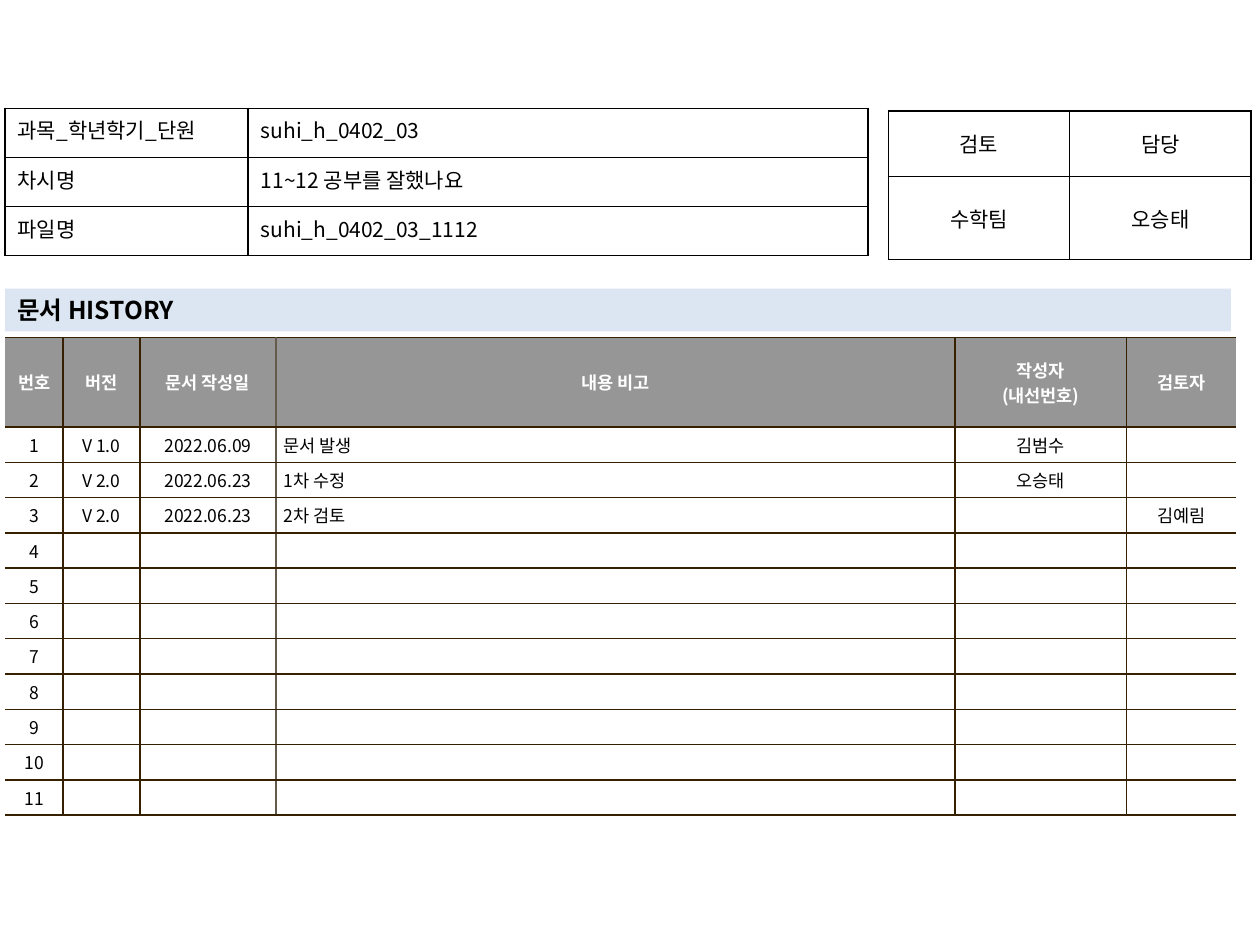
from lxml.etree import SubElement
from pptx import Presentation
from pptx.dml.color import RGBColor
from pptx.enum.shapes import MSO_SHAPE as Shape
from pptx.enum.text import MSO_ANCHOR as Anchor, PP_ALIGN as Align
from pptx.oxml.ns import qn
from pptx.util import Inches, Pt

FONT = "Noto Sans CJK KR"
COLORS = {"black": "000000", "white": "FFFFFF", "header": "969696",
          "band": "DCE6F2", "brown": "362000", "taupe": "645B4C"}

DOCUMENT = [
    ("과목_학년학기_단원", "suhi_h_0402_03"),
    ("차시명", "11~12 공부를 잘했나요"),
    ("파일명", "suhi_h_0402_03_1112"),
]
APPROVAL = [("검토", "담당"), ("수학팀", "오승태")]
HISTORY_TITLE = "문서 HISTORY"
HISTORY_HEADER = ("번호", "버전", "문서 작성일", "내용 비고", "작성자\n(내선번호)", "검토자")
REVISIONS = [
    ("V 1.0", "2022.06.09", "문서 발생", "김범수", ""),
    ("V 2.0", "2022.06.23", "1차 수정", "오승태", ""),
    ("V 2.0", "2022.06.23", "2차 검토", "", "김예림"),
]
REVISION_ROWS = 11
NOTE_COLUMN = 3


def rgb(name):
    return RGBColor.from_string(COLORS[name])


def write(frame, text, size=12, color="black", bold=False, align=Align.LEFT):
    for index, line in enumerate(text.split("\n")):
        paragraph = frame.add_paragraph() if index else frame.paragraphs[0]
        paragraph.alignment = align
        if not line:
            SubElement(paragraph._p, qn("a:endParaRPr"), sz=str(size * 100))
            continue
        run = paragraph.add_run()
        run.text = line
        run.font.size = Pt(size)
        run.font.bold = bold
        run.font.color.rgb = rgb(color)
        run.font.name = FONT
        SubElement(run.font._element, qn("a:ea"), typeface=FONT)


def set_borders(cell, sides):
    properties = cell._tc.get_or_add_tcPr()
    for side in "LRTB":
        line = SubElement(properties, qn("a:ln" + side), w=str(Pt(1)))
        if sides[side]:
            solid = SubElement(line, qn("a:solidFill"))
            SubElement(solid, qn("a:srgbClr"), val=COLORS[sides[side]])
        else:
            SubElement(line, qn("a:noFill"))


def add_grid(slide, left, top, widths, heights, rows, style):
    table = slide.shapes.add_table(
        len(rows), len(widths), Inches(left), Inches(top),
        Inches(sum(widths)), Inches(sum(heights))).table
    table.first_row = table.horz_banding = False
    for column, width in zip(table.columns, widths):
        column.width = Inches(width)
    for row, height in zip(table.rows, heights):
        row.height = Inches(height)
    for r, row in enumerate(rows):
        for c, text in enumerate(row):
            cell = table.cell(r, c)
            look = style(r, c)
            cell.vertical_anchor = look["anchor"]
            inset_x, inset_y = look["insets"]
            cell.margin_left = cell.margin_right = Inches(inset_x)
            cell.margin_top = cell.margin_bottom = Inches(inset_y)
            set_borders(cell, look["borders"])
            if look["fill"]:
                cell.fill.solid()
                cell.fill.fore_color.rgb = rgb(look["fill"])
            else:
                cell.fill.background()
            write(cell.text_frame, text, **look["text"])


def plain_style(anchor, align):
    return {"anchor": anchor, "insets": (0.1, 0.05), "fill": None,
            "borders": dict.fromkeys("LRTB", "black"), "text": {"align": align}}


def document_style(r, c):
    return plain_style(Anchor.TOP, Align.LEFT if c else Align.JUSTIFY)


def approval_style(r, c):
    return plain_style(Anchor.MIDDLE, Align.CENTER)


def history_style(r, c):
    header = r == 0
    borders = dict.fromkeys("LRTB", "brown")
    if c == 0:
        borders["L"] = None
    if c == len(HISTORY_HEADER) - 1:
        borders["R"] = None
    if c == NOTE_COLUMN - 1:
        borders["R"] = "taupe"
    if c == NOTE_COLUMN:
        borders["L"] = "taupe"
    note = c == NOTE_COLUMN and not header
    return {"anchor": Anchor.MIDDLE, "insets": (0.06, 0.04), "borders": borders,
            "fill": "header" if header else "white",
            "text": {"size": 10, "bold": header,
                     "color": "white" if header else "black",
                     "align": Align.LEFT if note else Align.CENTER}}


def add_title_band(slide):
    band = slide.shapes.add_shape(
        Shape.RECTANGLE, Inches(0.04), Inches(2.29), Inches(9.73), Inches(0.34))
    band.shadow.inherit = False
    band.fill.solid()
    band.fill.fore_color.rgb = rgb("band")
    band.line.fill.background()
    band.text_frame.word_wrap = True
    band.text_frame.vertical_anchor = Anchor.MIDDLE
    write(band.text_frame, HISTORY_TITLE, size=14, bold=True)


def main():
    deck = Presentation()
    deck.slide_width, deck.slide_height = Inches(10), Inches(7.5)
    slide = deck.slides.add_slide(deck.slide_layouts[6])

    blank = ("",) * (len(HISTORY_HEADER) - 1)
    entries = REVISIONS + [blank] * (REVISION_ROWS - len(REVISIONS))
    history = [HISTORY_HEADER] + [
        (str(number), *entry) for number, entry in enumerate(entries, 1)]

    add_grid(slide, 0.04, 2.68, [0.46, 0.61, 1.08, 5.39, 1.36, 0.87],
             [0.71] + [0.28] * REVISION_ROWS, history, history_style)
    add_grid(slide, 7.05, 0.88, [1.44] * 2, [0.52, 0.66], APPROVAL, approval_style)
    add_title_band(slide)
    add_grid(slide, 0.04, 0.86, [1.93, 4.92], [0.39] * 3, DOCUMENT, document_style)
    deck.save("out.pptx")


if __name__ == "__main__":
    main()
